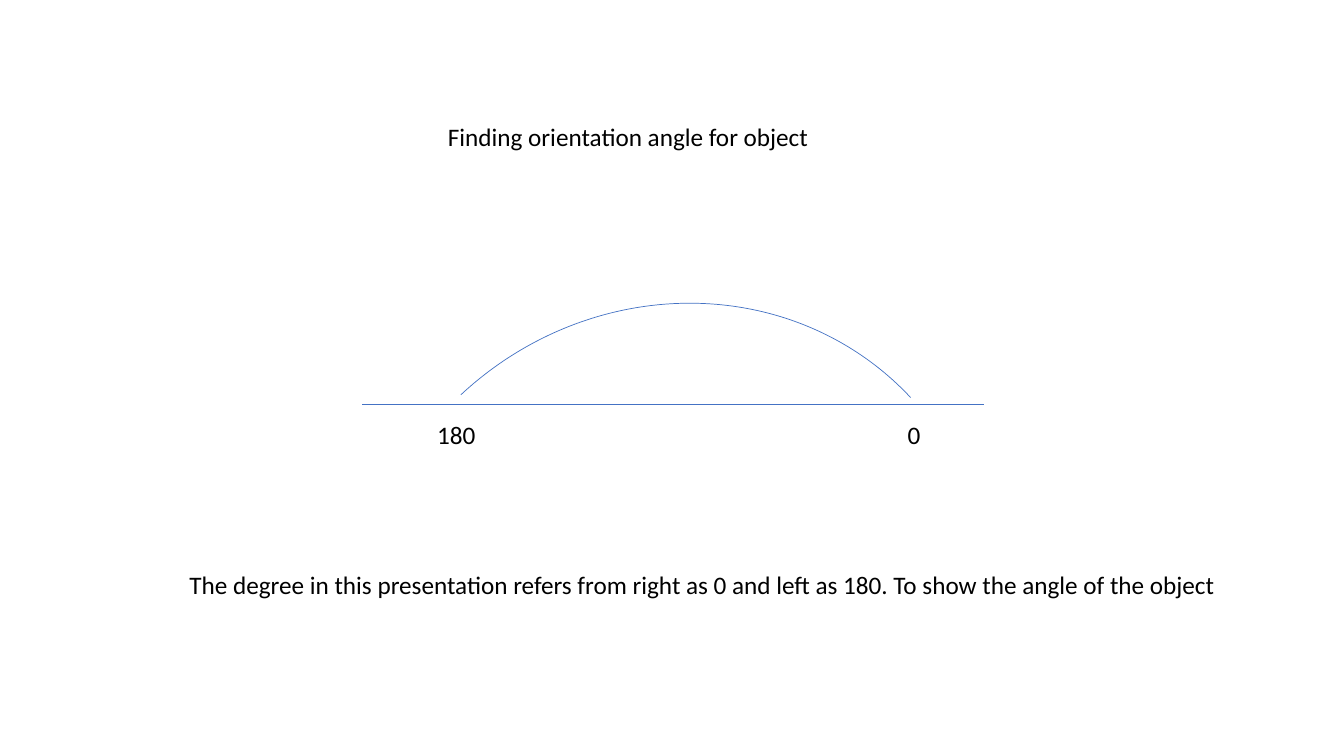
"""Build a slide that explains how the orientation angle of an object is measured."""
import pptx
import pptx.dml.color
import pptx.enum.shapes
import pptx.enum.text
import pptx.oxml.ns
import pptx.util

EMU_PER_PX = 9525
COLORS = {"text": "000000", "line": "4472C4"}
FONT = "Calibri"


def px(length):
    return pptx.util.Emu(length * EMU_PER_PX)


def color(name):
    return pptx.dml.color.RGBColor.from_string(COLORS[name])


def write_text(shape, text):
    frame = shape.text_frame
    frame.word_wrap = False
    frame.auto_size = pptx.enum.text.MSO_AUTO_SIZE.NONE
    frame.vertical_anchor = pptx.enum.text.MSO_ANCHOR.TOP
    paragraph = frame.paragraphs[0]
    paragraph.alignment = pptx.enum.text.PP_ALIGN.LEFT
    run = paragraph.add_run()
    run.text = text
    run.font.name = FONT
    run.font.size = pptx.util.Pt(18)
    run.font.color.rgb = color("text")


def style_line(shape):
    shape.line.color.rgb = color("line")
    shape.line.width = pptx.util.Pt(0.5)


def set_title(slide, text, left, top, width, height):
    title = slide.shapes.title
    title.left, title.top = px(left), px(top)
    title.width, title.height = px(width), px(height)
    write_text(title, text)


def add_label(slide, text, left, top, width):
    label = slide.shapes.add_textbox(px(left), px(top), px(width), px(38))
    write_text(label, text)


def add_baseline(slide, left, right, y):
    baseline = slide.shapes.add_connector(
        pptx.enum.shapes.MSO_CONNECTOR.STRAIGHT, px(left), px(y), px(right), px(y)
    )
    style_line(baseline)
    properties = baseline._element.spPr
    properties.append(properties.makeelement(pptx.oxml.ns.qn("a:effectLst"), {}))


def add_arc(slide, left, top, width, height, rotation):
    arc = slide.shapes.add_shape(
        pptx.enum.shapes.MSO_SHAPE.ARC, px(left), px(top), px(width), px(height)
    )
    arc.rotation = rotation
    arc.fill.background()
    arc.shadow.inherit = False
    style_line(arc)


def main():
    presentation = pptx.Presentation()
    presentation.slide_width, presentation.slide_height = px(1280), px(720)
    slide = presentation.slides.add_slide(presentation.slide_layouts.get_by_name("Title Only"))
    set_title(slide, "Finding orientation angle for object", 417, 111, 367, 68)
    add_baseline(slide, 345, 937, 385)
    add_arc(slide, 328, 297, 623, 588, 317)
    for text, left, width in (("0", 855, 32), ("180", 407, 57)):
        add_label(slide, text, left, 395, width)
    add_label(
        slide,
        "The degree in this presentation refers from right as 0 and left as 180. "
        "To show the angle of the object",
        171, 537, 1001,
    )
    presentation.save("out.pptx")


if __name__ == "__main__":
    main()
